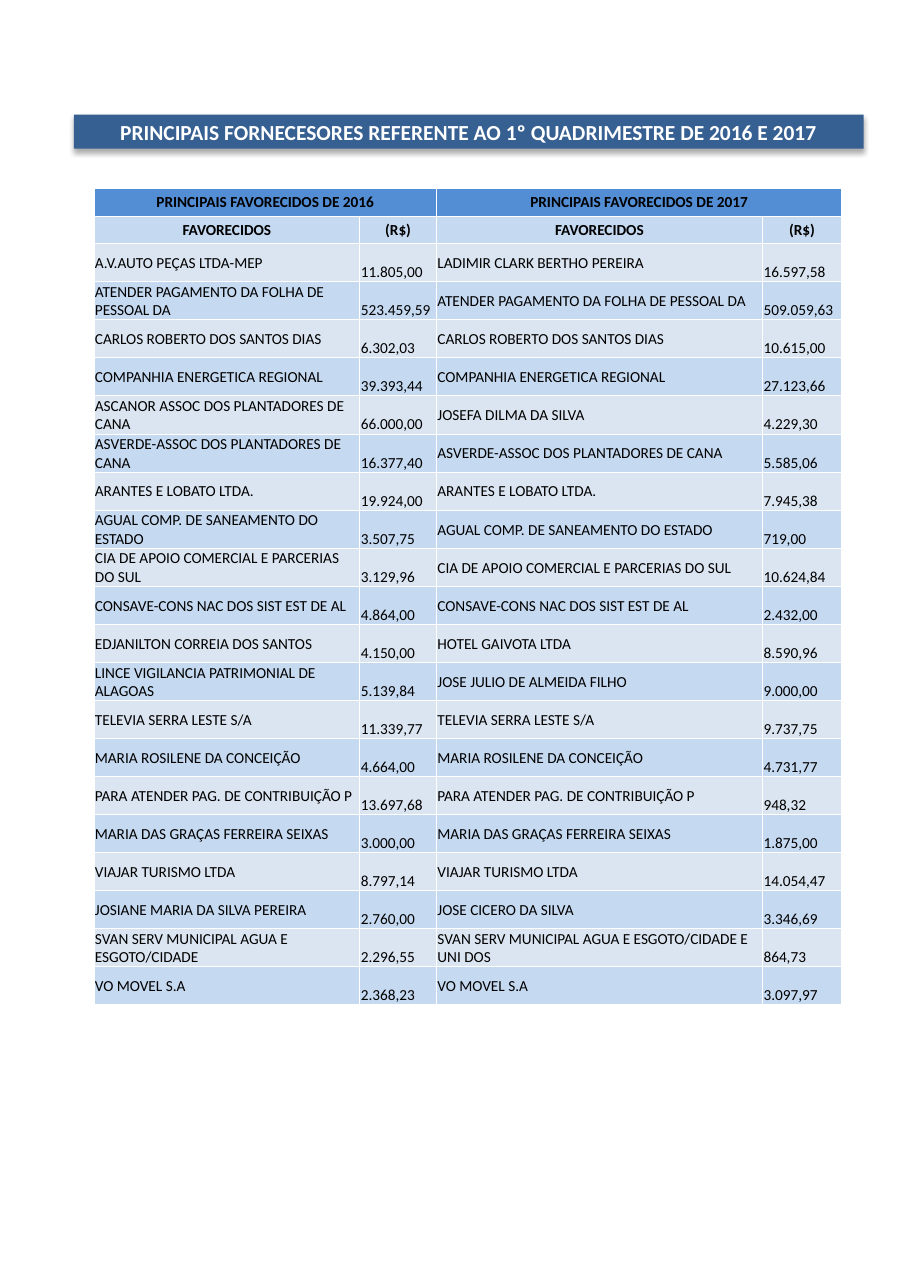
from dataclasses import dataclass

from lxml import etree
from pptx import Presentation
from pptx.dml.color import RGBColor
from pptx.enum.text import MSO_ANCHOR, MSO_AUTO_SIZE, PP_ALIGN
from pptx.oxml.ns import qn
from pptx.util import Inches, Pt

MIDDLE, BOTTOM = MSO_ANCHOR.MIDDLE, MSO_ANCHOR.BOTTOM
LEFT, CENTER = PP_ALIGN.LEFT, PP_ALIGN.CENTER
NO_AUTOFIT = MSO_AUTO_SIZE.NONE
TITLE_ONLY = 5
FONT = "Calibri"
BLACK, WHITE = "000000", "FFFFFF"
BANNER_BLUE, HEADER_BLUE = "376092", "538ED5"
BANDS = ("DBE5F1", "C5D9F1")
WIDTH, HEIGHT = Inches(8.27), Inches(11.69)
COLUMN_SHARES = (29.2, 8.4, 35.8, 8.7)
HEADER_SHARE, BODY_SHARE = 2.14, 2.95

TITLE = "PRINCIPAIS FORNECESORES REFERENTE AO 1º QUADRIMESTRE DE 2016 E 2017"
YEARS = ("PRINCIPAIS FAVORECIDOS DE 2016", "PRINCIPAIS FAVORECIDOS DE 2017")
HEADINGS = ("FAVORECIDOS", "(R$)")


@dataclass
class Supplier:
    name_2016: str
    value_2016: str
    value_2017: str
    name_2017: str = ""

    def texts(self) -> tuple[str, ...]:
        return (self.name_2016, self.value_2016,
                self.name_2017 or self.name_2016, self.value_2017)


@dataclass
class CellStyle:
    fill: str
    bold: bool = False
    align: int = LEFT
    anchor: int = MIDDLE


SUPPLIERS = (
    Supplier("A.V.AUTO PEÇAS LTDA-MEP", "11.805,00", "16.597,58", "LADIMIR CLARK BERTHO PEREIRA"),
    Supplier("ATENDER PAGAMENTO DA FOLHA DE PESSOAL DA", "523.459,59", "509.059,63"),
    Supplier("CARLOS ROBERTO DOS SANTOS DIAS", "6.302,03", "10.615,00"),
    Supplier("COMPANHIA ENERGETICA REGIONAL", "39.393,44", "27.123,66"),
    Supplier("ASCANOR ASSOC DOS PLANTADORES DE CANA", "66.000,00", "4.229,30", "JOSEFA DILMA DA SILVA"),
    Supplier("ASVERDE-ASSOC DOS PLANTADORES DE CANA", "16.377,40", "5.585,06"),
    Supplier("ARANTES E LOBATO LTDA.", "19.924,00", "7.945,38"),
    Supplier("AGUAL COMP. DE SANEAMENTO DO ESTADO", "3.507,75", "719,00"),
    Supplier("CIA DE APOIO COMERCIAL E PARCERIAS DO SUL", "3.129,96", "10.624,84"),
    Supplier("CONSAVE-CONS NAC DOS SIST EST DE AL", "4.864,00", "2.432,00"),
    Supplier("EDJANILTON CORREIA DOS SANTOS", "4.150,00", "8.590,96", "HOTEL GAIVOTA LTDA"),
    Supplier("LINCE VIGILANCIA PATRIMONIAL DE ALAGOAS", "5.139,84", "9.000,00", "JOSE JULIO DE ALMEIDA FILHO"),
    Supplier("TELEVIA SERRA LESTE S/A", "11.339,77", "9.737,75"),
    Supplier("MARIA ROSILENE DA CONCEIÇÃO", "4.664,00", "4.731,77"),
    Supplier("PARA ATENDER PAG. DE CONTRIBUIÇÃO P", "13.697,68", "948,32"),
    Supplier("MARIA DAS GRAÇAS FERREIRA SEIXAS", "3.000,00", "1.875,00"),
    Supplier("VIAJAR TURISMO LTDA", "8.797,14", "14.054,47"),
    Supplier("JOSIANE MARIA DA SILVA PEREIRA", "2.760,00", "3.346,69", "JOSE CICERO DA SILVA"),
    Supplier("SVAN SERV MUNICIPAL AGUA E ESGOTO/CIDADE", "2.296,55", "864,73",
             "SVAN SERV MUNICIPAL AGUA E ESGOTO/CIDADE E UNI DOS"),
    Supplier("VO MOVEL S.A", "2.368,23", "3.097,97"),
)


def x(share: float) -> int:
    return round(WIDTH * share / 100)


def y(share: float) -> int:
    return round(HEIGHT * share / 100)


def rgb(color: str) -> RGBColor:
    return RGBColor.from_string(color)


def format_text(p, size: float, color: str, bold: bool, align: int) -> None:
    p.alignment = align
    for r in p.runs:
        r.font.name, r.font.size, r.font.bold = FONT, Pt(size), bold
        r.font.color.rgb = rgb(color)


def add_shadow(sp) -> None:
    effects = etree.SubElement(sp.element.spPr, qn("a:effectLst"))
    shadow = etree.SubElement(effects, qn("a:outerShdw"), blurRad=str(Pt(3.5)),
                              dist=str(Pt(2.2)), dir="5400000", rotWithShape="0")
    color = etree.SubElement(shadow, qn("a:srgbClr"), val=BLACK)
    etree.SubElement(color, qn("a:alpha"), val="32000")


def draw_title(s) -> None:
    sp = s.shapes.title
    sp.left, sp.top, sp.width, sp.height = x(8.1), y(8.9), x(86.7), y(2.65)
    sp.fill.solid()
    sp.fill.fore_color.rgb = rgb(BANNER_BLUE)
    sp.line.fill.background()
    add_shadow(sp)
    tf = sp.text_frame
    tf.text = TITLE
    tf.word_wrap, tf.auto_size, tf.vertical_anchor = True, NO_AUTOFIT, MIDDLE
    tf.margin_top = tf.margin_bottom = 0
    format_text(tf.paragraphs[0], 14, WHITE, True, CENTER)


def add_borders(cell) -> None:
    tc_pr = cell._tc.get_or_add_tcPr()
    for side in ("a:lnL", "a:lnR", "a:lnT", "a:lnB"):
        line = etree.SubElement(tc_pr, qn(side), w=str(Pt(0.5)))
        fill = etree.SubElement(line, qn("a:solidFill"))
        etree.SubElement(fill, qn("a:srgbClr"), val=WHITE)


def draw_cell(cell, text: str, style: CellStyle) -> None:
    add_borders(cell)
    cell.fill.solid()
    cell.fill.fore_color.rgb = rgb(style.fill)
    cell.margin_left = cell.margin_right = cell.margin_top = Inches(0.01)
    cell.margin_bottom = 0
    cell.vertical_anchor = style.anchor
    cell.text_frame.text = text
    format_text(cell.text_frame.paragraphs[0], 10, BLACK, style.bold, style.align)


def draw_table(s) -> None:
    rows, columns = len(SUPPLIERS) + 2, len(COLUMN_SHARES)
    height = 2 * HEADER_SHARE + len(SUPPLIERS) * BODY_SHARE
    table = s.shapes.add_table(rows, columns, x(10.3), y(14.63),
                               x(sum(COLUMN_SHARES)), y(height)).table
    for column, share in zip(table.columns, COLUMN_SHARES):
        column.width = x(share)
    for i, row in enumerate(table.rows):
        row.height = y(HEADER_SHARE if i < 2 else BODY_SHARE)

    year_style = CellStyle(HEADER_BLUE, True, CENTER)
    heading_style = CellStyle(BANDS[1], True, CENTER)
    for j in range(columns):
        draw_cell(table.cell(0, j), "" if j % 2 else YEARS[j // 2], year_style)
        draw_cell(table.cell(1, j), HEADINGS[j % 2], heading_style)
    for j in range(0, columns, 2):
        table.cell(0, j).merge(table.cell(0, j + 1))

    for i, supplier in enumerate(SUPPLIERS):
        for j, text in enumerate(supplier.texts()):
            style = CellStyle(BANDS[i % 2], anchor=BOTTOM if j % 2 else MIDDLE)
            draw_cell(table.cell(i + 2, j), text, style)


def main() -> None:
    prs = Presentation()
    prs.slide_width, prs.slide_height = WIDTH, HEIGHT
    s = prs.slides.add_slide(prs.slide_layouts[TITLE_ONLY])
    draw_title(s)
    draw_table(s)
    prs.save("out.pptx")


if __name__ == "__main__":
    main()
